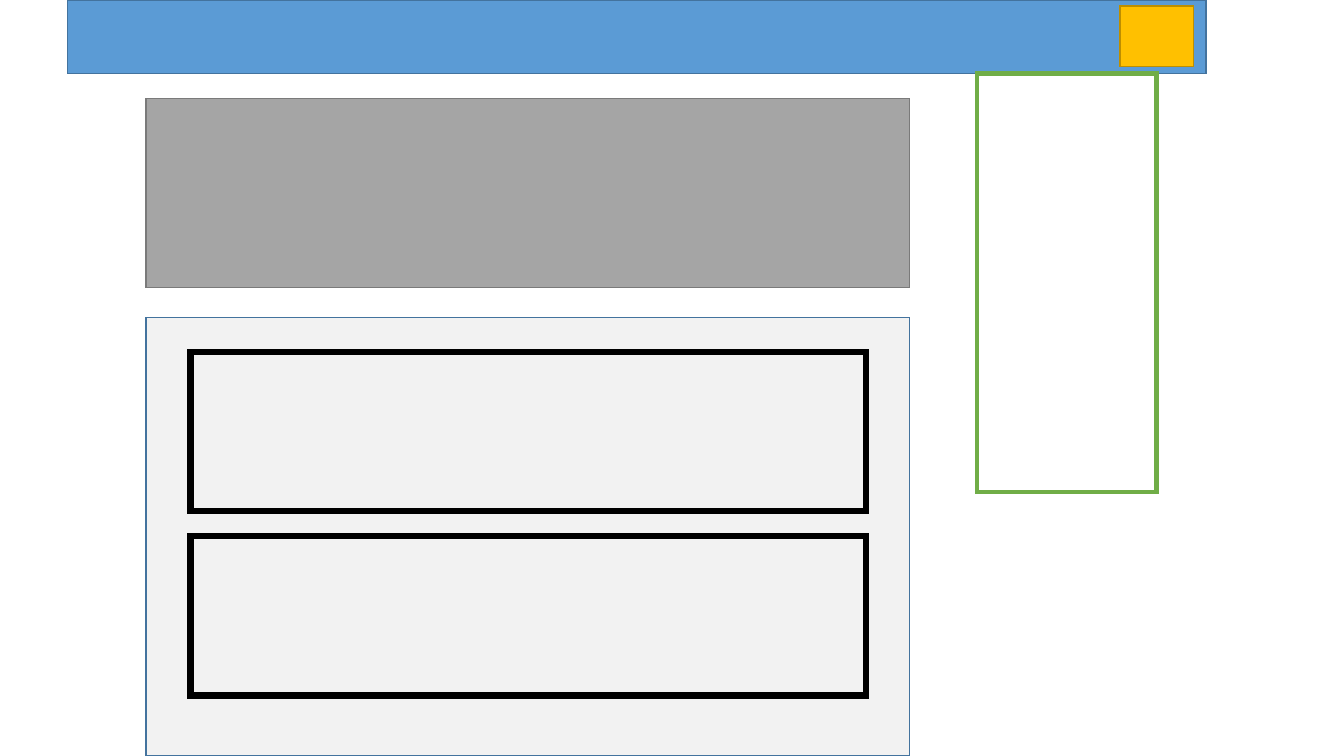
"""Build a page wireframe: header bar, banner, content panel with two cards, and a dropdown menu."""
from lxml import etree
from pptx import Presentation
from pptx.dml.color import RGBColor
from pptx.enum.shapes import MSO_SHAPE
from pptx.oxml.ns import qn
from pptx.util import Inches, Pt

COLORS = {
    "blue": "5B9BD5", "dark_blue": "43739E",
    "gray": "A5A5A5", "dark_gray": "7A7A7A",
    "gold": "FFC000", "dark_gold": "BD8E00",
    "panel": "F2F2F2", "white": "FFFFFF",
    "green": "70AD47", "black": "000000",
}

deck = Presentation()
deck.slide_width = Inches(13.33)
deck.slide_height = Inches(7.5)
page = deck.slides.add_slide(deck.slide_layouts[6])


def add_box(left, top, width, height, fill, line, weight=1):
    box = page.shapes.add_shape(
        MSO_SHAPE.RECTANGLE, Inches(left), Inches(top), Inches(width), Inches(height))
    box.shadow.inherit = False
    if fill:
        box.fill.solid()
        box.fill.fore_color.rgb = RGBColor.from_string(COLORS[fill])
    else:
        box.fill.background()
    box.line.color.rgb = RGBColor.from_string(COLORS[line])
    box.line.width = Pt(weight)
    outline = box.element.spPr.find(qn("a:ln"))
    etree.SubElement(outline, qn("a:miter"), lim="800000")


column_left, column_width = 1.45, 7.57
header_height = 0.73
add_box(0.67, 0, 11.29, header_height, "blue", "dark_blue")
add_box(column_left, 0.98, column_width, 1.87, "gray", "dark_gray")
add_box(column_left, 3.15, column_width, 4.35, "panel", "dark_blue")
add_box(9.69, header_height, 1.78, 4.15, "white", "green", 3)

card_top, card_step = 3.49, 1.83
for index in range(2):
    add_box(1.89, card_top + index * card_step, 6.7, 1.58, None, "black", 4.5)

add_box(11.11, 0.06, 0.73, 0.6, "gold", "dark_gold")

deck.save("out.pptx")
